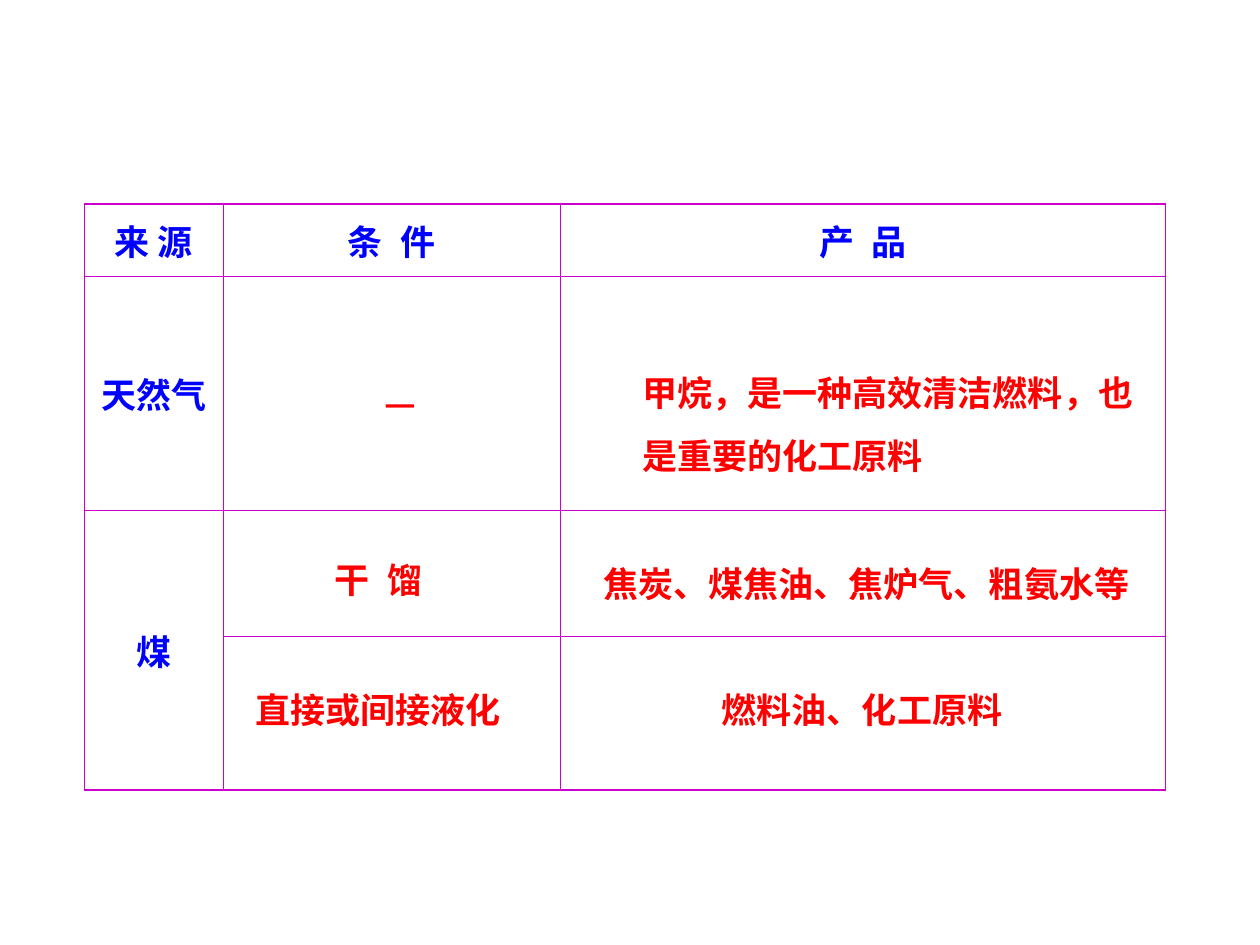
from lxml import etree
from pptx import Presentation
from pptx import util as u
from pptx.dml.color import RGBColor
from pptx.enum import text
from pptx.oxml import ns

COLORS = {"head": "0000FF", "body": "FF0000", "rule": "CC00CC"}
CJK = "Noto Sans CJK SC"
COLS = [1.1, 2.68, 4.8]
ROWS = [0.57, 1.86, 1, 1.22]
HEADS = [
    (0, 0, "来 源", {}),
    (0, 1, "条 件", {"gap": 2.8}),
    (0, 2, "产 品", {"gap": 2.8}),
    (1, 0, "天然气", {}),
    (2, 0, "煤", {"font": CJK}),
]
NOTES = [
    (2.95, 2.81, 0.94, 0.6, "—", 0),
    (5, 2.73, 4.1, 1.1, "甲烷，是一种高效清洁燃料，也是重要的化工原料", 0),
    (2.56, 4.22, 1.73, 0.6, "干 馏", 2.8),
    (4.69, 4.25, 5.28, 0.6, "焦炭、煤焦油、焦炉气、粗氨水等", 0),
    (1.93, 5.25, 2.91, 0.6, "直接或间接液化", 0),
    (5.63, 5.25, 2.99, 0.6, "燃料油、化工原料", 0),
]


def write(frame, words, color="body", font=CJK, size=20, gap=0, align=None, lines=None):
    """Write one bold paragraph, with gap as extra points between letters."""
    para = frame.paragraphs[0]
    para.alignment = align
    para.line_spacing = lines
    run = para.add_run()
    run.text = words
    run.font.size = u.Pt(size)
    run.font.bold = True
    run.font.name = font
    run.font.color.rgb = RGBColor.from_string(COLORS[color])
    props = run.font._element
    etree.SubElement(props, ns.qn("a:ea"), typeface=CJK)
    if gap:
        props.set("spc", str(round(gap * 100)))


def border(cell, side, width):
    """Draw one side of a table cell."""
    props = cell._tc.get_or_add_tcPr()
    line = etree.SubElement(props, ns.qn(f"a:ln{side}"), w=str(u.Pt(width)))
    fill = etree.SubElement(line, ns.qn("a:solidFill"))
    etree.SubElement(fill, ns.qn("a:srgbClr"), val=COLORS["rule"])


def add_grid(slide):
    """Add the ruled table with its headings."""
    frame = slide.shapes.add_table(
        len(ROWS), len(COLS), u.Inches(0.67), u.Inches(1.62),
        u.Inches(sum(COLS)), u.Inches(sum(ROWS)))
    table = frame.table
    table.first_row = table.horz_banding = False
    for col, width in zip(table.columns, COLS):
        col.width = u.Inches(width)
    for row, height in zip(table.rows, ROWS):
        row.height = u.Inches(height)
    table.cell(2, 0).merge(table.cell(3, 0))
    for r in range(len(ROWS)):
        for c in range(len(COLS)):
            cell = table.cell(r, c)
            outer = {"L": c == 0, "R": c == len(COLS) - 1,
                     "T": r == 0, "B": r + cell.span_height == len(ROWS) or r == len(ROWS) - 1}
            for side, edge in outer.items():
                border(cell, side, 1.08 if edge else 0.45)
            cell.fill.background()
            cell.vertical_anchor = text.MSO_ANCHOR.MIDDLE
    for r, c, words, style in HEADS:
        style = {"font": "Arial", **style}
        write(table.cell(r, c).text_frame, words, color="head",
              align=text.PP_ALIGN.CENTER, **style)


def add_note(slide, left, top, width, height, words, gap):
    """Add one answer as a wrapped text box."""
    box = slide.shapes.add_textbox(*map(u.Inches, (left, top, width, height)))
    frame = box.text_frame
    frame.word_wrap = True
    frame.auto_size = text.MSO_AUTO_SIZE.SHAPE_TO_FIT_TEXT
    write(frame, words, gap=gap, lines=1.5)


def main():
    """Build and save the slide."""
    deck = Presentation()
    deck.slide_width, deck.slide_height = u.Inches(10), u.Inches(7.5)
    slide = deck.slides.add_slide(deck.slide_layouts[6])
    add_grid(slide)
    for note in NOTES:
        add_note(slide, *note)
    deck.save("out.pptx")


if __name__ == "__main__":
    main()
